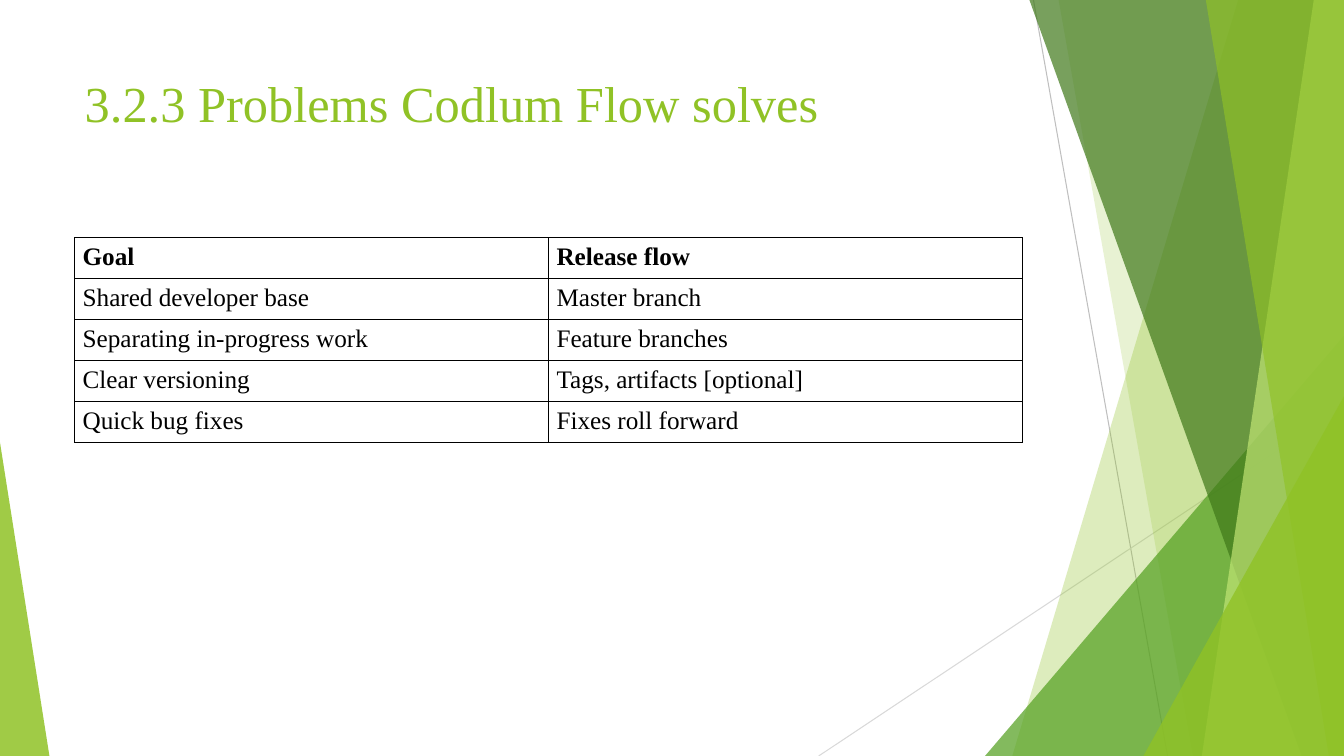
from pptx import Presentation
from pptx.dml.color import RGBColor
from pptx.enum.shapes import MSO_CONNECTOR, MSO_SHAPE
from pptx.enum.text import MSO_ANCHOR, PP_ALIGN
from pptx.oxml.ns import qn
from pptx.util import Inches, Pt
from lxml.etree import SubElement

# Content
TITLE = "3.2.3 Problems Codlum Flow solves"
ROWS = [
    ("Goal", "Release flow"),
    ("Shared developer base", "Master branch"),
    ("Separating in-progress work", "Feature branches"),
    ("Clear versioning", "Tags, artifacts [optional]"),
    ("Quick bug fixes", "Fixes roll forward"),
]

# Look
WIDE, HIGH = 13.33, 7.5
FONT, GREEN, BLACK = "Times New Roman", "90C226", "000000"
LEFT, SPAN = 0.74, 9.4
LINES = [  # x1, y1, x2, y2, colour
    (10.25, 0, 11.58, HIGH, "BFBFBF"),
    (WIDE, 4.03, 8.12, HIGH, "D9D9D9"),
]
# Back to front. band: top x, bottom x; wedge: left, width, height, apex
DECOR = [
    ("band", (12.28, 10.04), GREEN, 30),
    ("band", (10.5, 11.83), GREEN, 20),
    ("wedge", (9.77, 3.56, 4.17, 1), "54A021", 72),
    ("band", (10.21, 12.91), "3F7819", 70),
    ("band", (13.03, 11.92), "C0E474", 70),
    ("band", (11.96, 13.18), GREEN, 65),
    ("wedge", (11.34, 1.99, 3.57, 1), GREEN, 80),
    ("wedge", (0, 0.49, 3.11, 0), GREEN, 85),
]


def color(code):
    return RGBColor.from_string(code)


def write(frame, text, size, code, bold=False):
    run = frame.paragraphs[0].add_run()
    run.text = text
    font = run.font
    font.name, font.size, font.bold = FONT, Pt(size), bold
    font.color.rgb = color(code)


def paint(shape, code, alpha):
    shape.shadow.inherit = False
    shape.line.fill.background()
    shape.fill.solid()
    shape.fill.fore_color.rgb = color(code)
    tint = shape.fill._xPr.find(qn("a:solidFill"))[0]
    SubElement(tint, qn("a:alpha"), val=str(alpha * 1000))


def band(shapes, top, base):
    edge = [(WIDE, 0), (WIDE, HIGH), (base, HIGH)]
    pen = shapes.build_freeform(Inches(top), 0)
    pen.add_line_segments([(Inches(x), Inches(y)) for x, y in edge])
    return pen.convert_to_shape()


def wedge(shapes, left, width, height, apex):
    shape = shapes.add_shape(
        MSO_SHAPE.ISOSCELES_TRIANGLE, Inches(left), Inches(HIGH - height),
        Inches(width), Inches(height))
    shape.adjustments[0] = apex
    return shape


def border(cell):
    props = cell._tc.get_or_add_tcPr()
    for side in ("lnL", "lnR", "lnT", "lnB"):
        line = SubElement(props, qn("a:" + side), w=str(Pt(1)))
        fill = SubElement(line, qn("a:solidFill"))
        SubElement(fill, qn("a:srgbClr"), val=BLACK)


def main():
    deck = Presentation()
    deck.slide_width, deck.slide_height = Inches(WIDE), Inches(HIGH)
    slide = deck.slides.add_slide(deck.slide_layouts[5])
    shapes = slide.shapes

    # Decoration
    for x1, y1, x2, y2, code in LINES:
        line = shapes.add_connector(
            MSO_CONNECTOR.STRAIGHT, Inches(x1), Inches(y1), Inches(x2), Inches(y2))
        line.line.color.rgb = color(code)
        line.line.width = Pt(0.75)
        SubElement(line._element.spPr, qn("a:effectLst"))
    makers = {"band": band, "wedge": wedge}
    for kind, dims, code, alpha in DECOR:
        paint(makers[kind](shapes, *dims), code, alpha)

    # Title
    title = shapes.title
    title.left, title.top = Inches(LEFT), Inches(0.67)
    title.width, title.height = Inches(SPAN), Inches(1.44)
    frame = title.text_frame
    frame.vertical_anchor = MSO_ANCHOR.TOP
    frame.paragraphs[0].alignment = PP_ALIGN.LEFT
    write(frame, TITLE, 36, GREEN)

    # Table
    table = shapes.add_table(
        len(ROWS), len(ROWS[0]), Inches(LEFT), Inches(2.36),
        Inches(SPAN), Inches(2.03)).table
    table.horz_banding = False
    for r, row in enumerate(ROWS):
        for c, text in enumerate(row):
            cell = table.cell(r, c)
            cell.margin_left = cell.margin_right = Inches(0.08)
            cell.margin_top = cell.margin_bottom = Inches(0.05)
            border(cell)
            cell.fill.background()
            write(cell.text_frame, text, 18, BLACK, bold=r == 0)

    deck.save("out.pptx")


if __name__ == "__main__":
    main()
